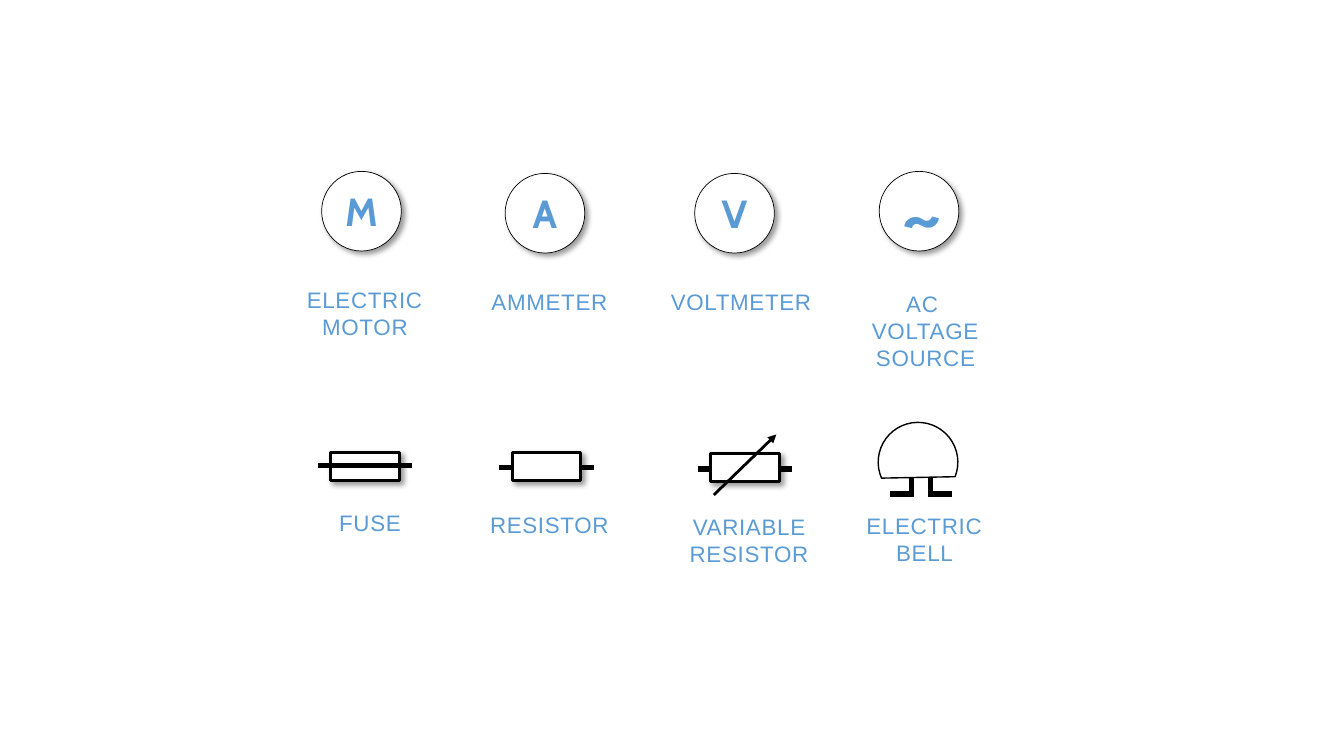
from lxml.etree import SubElement
from pptx import Presentation
from pptx.dml.color import RGBColor
from pptx.enum.shapes import MSO_CONNECTOR, MSO_SHAPE
from pptx.enum.text import MSO_ANCHOR, MSO_AUTO_SIZE, PP_ALIGN
from pptx.oxml import parse_xml
from pptx.oxml.ns import nsdecls, qn
from pptx.util import Inches, Pt

BLACK = RGBColor(0x00, 0x00, 0x00)
WHITE = RGBColor(0xFF, 0xFF, 0xFF)
BLUE = RGBColor(0x5B, 0x9B, 0xD5)

LABEL_FONT = {"name": "Arial", "size": Pt(16)}
METER_FONT = {"name": "Cabin", "size": Pt(28), "bold": True}
SOURCE_FONT = {**METER_FONT, "size": Pt(66)}
LABEL_FRAME = {"word_wrap": False, "auto_size": MSO_AUTO_SIZE.SHAPE_TO_FIT_TEXT}
METER_FRAME = {"vertical_anchor": MSO_ANCHOR.MIDDLE}
SOURCE_FRAME = {**METER_FRAME, "margin_top": 0, "margin_bottom": Inches(0.08)}

DIAMETER = 0.79
BODY_WIDTH, BODY_HEIGHT = 0.68, 0.28
WIRE_LENGTH, LEAD, WIRE_DROP = 0.94, 0.13, 0.15
FOOT_LENGTH = 0.21


def apply_format(target, values):
    """Set every attribute named in values on target."""
    for attribute, value in values.items():
        setattr(target, attribute, value)


def write_text(frame, paragraphs, frame_format, font_format, spacing=0):
    """Fill a text frame with centred blue paragraphs."""
    apply_format(frame, frame_format)
    for index, wording in enumerate(paragraphs):
        paragraph = frame.paragraphs[0] if index == 0 else frame.add_paragraph()
        paragraph.text = wording
        paragraph.alignment = PP_ALIGN.CENTER
        for run in paragraph.runs:
            apply_format(run.font, font_format)
            run.font.color.rgb = BLUE
            if spacing:
                run.font._element.set("spc", str(spacing))


def add_label(symbol, center, top, paragraphs, width=1.4):
    """Place a caption centred on a given abscissa."""
    lines = sum(wording.count("\n") + 1 for wording in paragraphs)
    caption = symbol.add_textbox(Inches(center - width / 2), Inches(top),
                                 Inches(width), Inches(0.1 + 0.27 * lines))
    write_text(caption.text_frame, paragraphs, LABEL_FRAME, LABEL_FONT, 50)


def add_outline(symbol, kind, left, top, width, height, weight, shadow=True):
    """Draw a white body with a black outline."""
    body = symbol.add_shape(kind, Inches(left), Inches(top), Inches(width), Inches(height))
    body.shadow.inherit = False
    body.fill.solid()
    body.fill.fore_color.rgb = WHITE
    body.line.color.rgb = BLACK
    body.line.width = Pt(weight)
    if shadow:
        effects = body._element.spPr.find(qn("a:effectLst"))
        effects.append(parse_xml(
            f'<a:outerShdw {nsdecls("a")} blurRad="50800" dist="38100" dir="2700000" '
            'algn="tl" rotWithShape="0"><a:srgbClr val="000000">'
            '<a:alpha val="40000"/></a:srgbClr></a:outerShdw>'))
    return body


def add_wire(symbol, start, end, weight=4, arrow=False):
    """Draw a black conductor between two points."""
    wire = symbol.add_connector(MSO_CONNECTOR.STRAIGHT,
                                *(Inches(value) for value in (*start, *end)))
    wire.line.color.rgb = BLACK
    wire.line.width = Pt(weight)
    if arrow:
        SubElement(wire.line._get_or_add_ln(), qn("a:tailEnd"), type="triangle")
    SubElement(wire._element.spPr, qn("a:effectLst"))


def add_meter(symbol, left, top, letter, frame_format=METER_FRAME, font_format=METER_FONT):
    """Draw a circle holding a letter."""
    circle = add_outline(symbol, MSO_SHAPE.OVAL, left, top, DIAMETER, DIAMETER, 0.5)
    write_text(circle.text_frame, [letter], frame_format, font_format)


def add_body(symbol, left, top):
    """Draw the rectangular body of a resistor or fuse."""
    add_outline(symbol, MSO_SHAPE.RECTANGLE, left + LEAD, top, BODY_WIDTH, BODY_HEIGHT, 2)


def add_lead(symbol, left, top):
    """Draw the horizontal wire through a body."""
    level = top + WIRE_DROP
    add_wire(symbol, (left, level), (left + WIRE_LENGTH, level))


def add_fuse(symbol, left, top):
    """Draw a fuse, its wire in front of the body."""
    add_body(symbol, left, top)
    add_lead(symbol, left, top - 0.02)


def add_resistor(symbol, left, top):
    """Draw a resistor, its wire behind the body."""
    add_lead(symbol, left, top)
    add_body(symbol, left, top)


def add_variable_resistor(symbol, left, top):
    """Draw a resistor crossed by an arrow."""
    add_resistor(symbol, left, top)
    add_wire(symbol, (left + 0.16, top + 0.41), (left + 0.78, top - 0.19), 2, True)


def add_bell(symbol, left, top):
    """Draw a bell dome on two posts with feet turned outward."""
    for post, outward in ((left + 0.33, -FOOT_LENGTH), (left + 0.52, FOOT_LENGTH)):
        add_wire(symbol, (post, top + 0.71), (post + outward, top + 0.71))
        add_wire(symbol, (post, top + 0.74), (post, top + 0.37))
    dome = add_outline(symbol, MSO_SHAPE.CHORD, left, top, DIAMETER, DIAMETER, 1, False)
    dome.rotation = 111.4


def build_symbols(slide):
    """Place each circuit symbol with its caption."""
    symbols = (
        (add_meter, (3.19, 1.7, "M"), (3.62, 2.79, ["ELECTRIC\nMOTOR"])),
        (add_meter, (5.01, 1.72, "A"), (5.45, 2.81, ["AMMETER"])),
        (add_meter, (6.89, 1.72, "V"), (7.35, 2.81, ["VOLTMETER"], 1.62)),
        (add_meter, (8.72, 1.7, "~", SOURCE_FRAME, SOURCE_FONT),
         (9.18, 2.83, ["AC ", "VOLTAGE\nSOURCE"])),
        (add_fuse, (3.15, 4.49), (3.67, 5, ["FUSE"], 0.83)),
        (add_resistor, (4.95, 4.49), (5.45, 5.02, ["RESISTOR"])),
        (add_variable_resistor, (6.92, 4.5), (7.43, 5.04, ["VARIABLE", "RESISTOR"])),
        (add_bell, (8.71, 4.19), (9.17, 5.03, ["ELECTRIC ", "BELL"])),
    )
    for draw, placement, caption in symbols:
        symbol = slide.shapes.add_group_shape().shapes
        add_label(symbol, *caption)
        draw(symbol, *placement)


def main():
    """Build and save the circuit symbol slide."""
    presentation = Presentation()
    apply_format(presentation, {"slide_width": Inches(13.33), "slide_height": Inches(7.5)})
    build_symbols(presentation.slides.add_slide(presentation.slide_layouts[6]))
    presentation.save("out.pptx")


if __name__ == "__main__":
    main()
